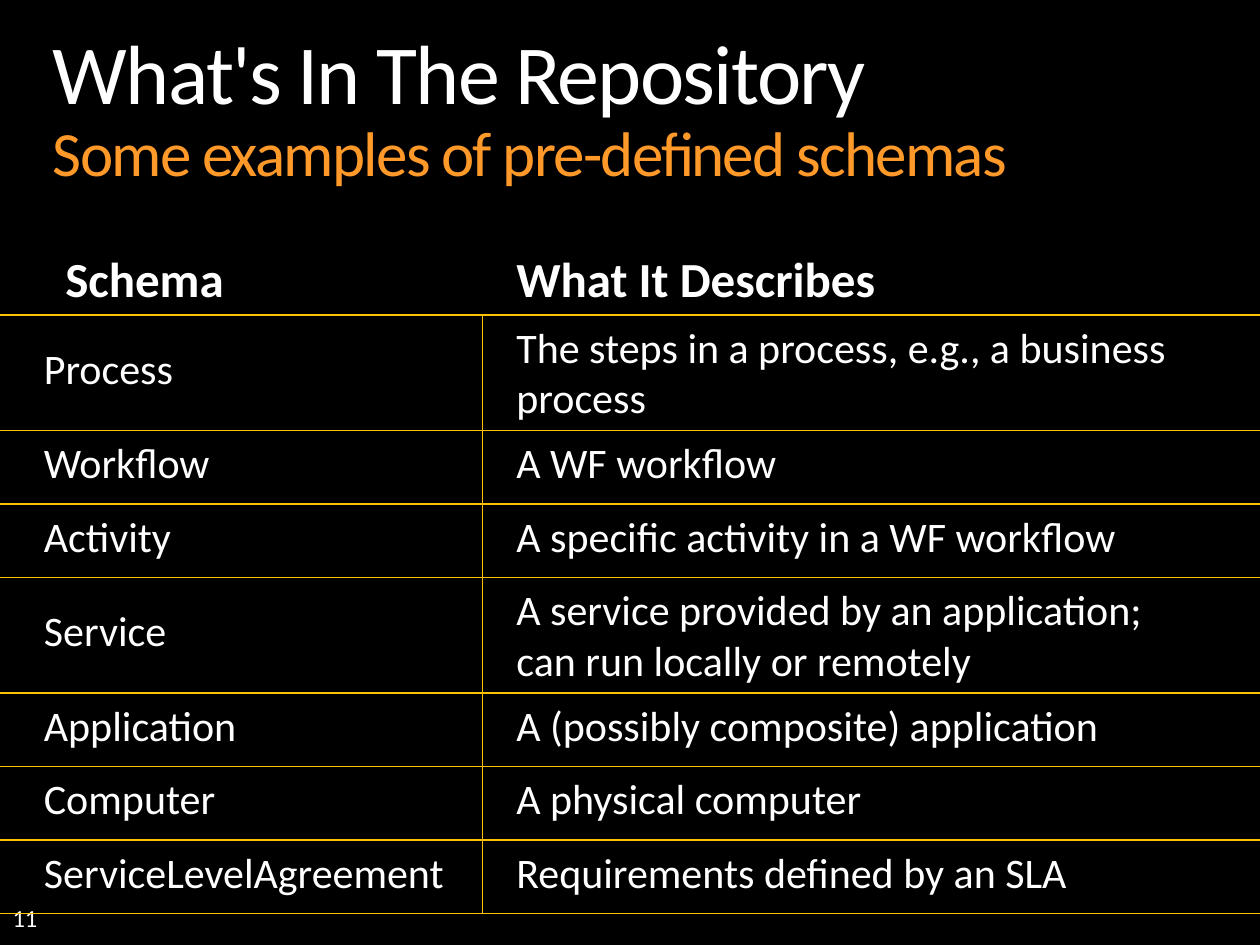
"""Build a slide that lists the predefined schemas in a repository."""
import pptx
import pptx.dml.color
import pptx.enum.shapes
import pptx.enum.text
import pptx.oxml
import pptx.util

Inches = pptx.util.Inches
Anchor = pptx.enum.text.MSO_ANCHOR
COLORS = {"background": "000000", "text": "FFFFFF", "subtitle": "FF9929", "rule": "FFC000"}
FONT = "Calibri"
LABEL_LEFT, DESCRIPTION_LEFT, DIVIDER_LEFT = 0.25, 4, 3.83
SINGLE_ROW, DOUBLE_ROW = 7 / 12, 11 / 12
SINGLE_BOX, DOUBLE_BOX = 0.5, 0.91

HEADINGS = [("Schema", 0.42, 1.47), ("What It Describes", DESCRIPTION_LEFT, 3.08)]
ROWS = [
    ("Process", 1.24, "The steps in a process, e.g., a business process", 6, True),
    ("Workflow", 1.53, "A WF workflow", 5.67, False),
    ("Activity", 1.22, "A specific activity in a WF workflow", 5.83, False),
    ("Service", 1.19, "A service provided by an application; can run locally or remotely", 5.58, True),
    ("Application", 1.75, "A (possibly composite) application", 4.86, False),
    ("Computer", 1.57, "A physical computer", 2.96, False),
    ("ServiceLevelAgreement", 3.41, "Requirements defined by an SLA", 4.62, False),
]


def color(name):
    """Return the named colour."""
    return pptx.dml.color.RGBColor.from_string(COLORS[name])


def add_span(para, text, size=24, bold=False, fill="text", spacing=None):
    """Add formatted text to a paragraph."""
    span = para.add_run()
    span.text = text
    span.font.name = FONT
    span.font.size = pptx.util.Pt(size)
    span.font.bold = bold
    span.font.color.rgb = color(fill)
    if spacing is not None:
        span.font._element.set("spc", str(spacing))


def clear_margins(frame):
    """Remove the inner margins of a text frame."""
    frame.margin_left = frame.margin_right = frame.margin_top = frame.margin_bottom = 0


def add_text(page, text, left, top, width, height, wrap=False, **style):
    """Add a text box and return its frame."""
    box = page.shapes.add_textbox(Inches(left), Inches(top), Inches(width), Inches(height))
    frame = box.text_frame
    frame.word_wrap = wrap
    add_span(frame.paragraphs[0], text, **style)
    return frame


def add_rule(page, left, top, right, bottom):
    """Draw a thin rule between two points."""
    rule = page.shapes.add_connector(
        pptx.enum.shapes.MSO_CONNECTOR.STRAIGHT,
        Inches(left), Inches(top), Inches(right), Inches(bottom))
    rule.line.color.rgb = color("rule")
    rule.line.width = pptx.util.Pt(0.75)
    rule._element.spPr.append(pptx.oxml.parse_xml(
        '<a:effectLst xmlns:a="http://schemas.openxmlformats.org/drawingml/2006/main"/>'))


def add_title(page, left, top, width, height):
    """Place the title and its subtitle in the title placeholder."""
    title = page.shapes.title
    title.left, title.top, title.width, title.height = map(Inches, (left, top, width, height))
    frame = title.text_frame
    clear_margins(frame)
    frame.word_wrap = True
    frame.auto_size = pptx.enum.text.MSO_AUTO_SIZE.NONE
    frame.vertical_anchor = Anchor.TOP
    para = frame.paragraphs[0]
    para.alignment = pptx.enum.text.PP_ALIGN.LEFT
    para.line_spacing = 0.9
    add_span(para, "What's In The Repository", size=48, spacing=-100)
    para.add_line_break()
    add_span(para, "Some examples of pre-defined schemas", size=36, fill="subtitle", spacing=-100)


def add_schema_list(page, left, top, width):
    """Place the headings, the ruled rows and the column divider."""
    for heading, offset, heading_width in HEADINGS:
        add_text(page, heading, left + offset, top - 0.58, heading_width, 0.57, size=28, bold=True)
    add_rule(page, left, top, left + width, top)
    row_top = top
    for label, label_width, description, description_width, double in ROWS:
        row_height = DOUBLE_ROW if double else SINGLE_ROW
        label_top = row_top + (row_height - SINGLE_ROW) / 2
        add_text(page, label, left + LABEL_LEFT, label_top, label_width, SINGLE_BOX)
        add_text(page, description, left + DESCRIPTION_LEFT, row_top, description_width,
                 DOUBLE_BOX if double else SINGLE_BOX, wrap=double)
        row_top += row_height
        add_rule(page, left, row_top, left + width, row_top)
    add_rule(page, left + DIVIDER_LEFT, top, left + DIVIDER_LEFT, row_top)


def add_page_number(page, left, top, width, height):
    """Place the page number at the foot of its box."""
    frame = add_text(page, "11", left, top, width, height, wrap=True, size=14)
    clear_margins(frame)
    frame.vertical_anchor = Anchor.BOTTOM


def main():
    """Build and save the deck."""
    deck = pptx.Presentation()
    deck.slide_width, deck.slide_height = Inches(10), Inches(7.5)
    page = deck.slides.add_slide(deck.slide_layouts[5])
    page.background.fill.solid()
    page.background.fill.fore_color.rgb = color("background")
    add_page_number(page, 0.1, 7, 2.33, 0.4)
    add_title(page, 0.42, 0.25, 9.16, 1.27)
    add_schema_list(page, 0, 2.5, 10)
    deck.save("out.pptx")


if __name__ == "__main__":
    main()
